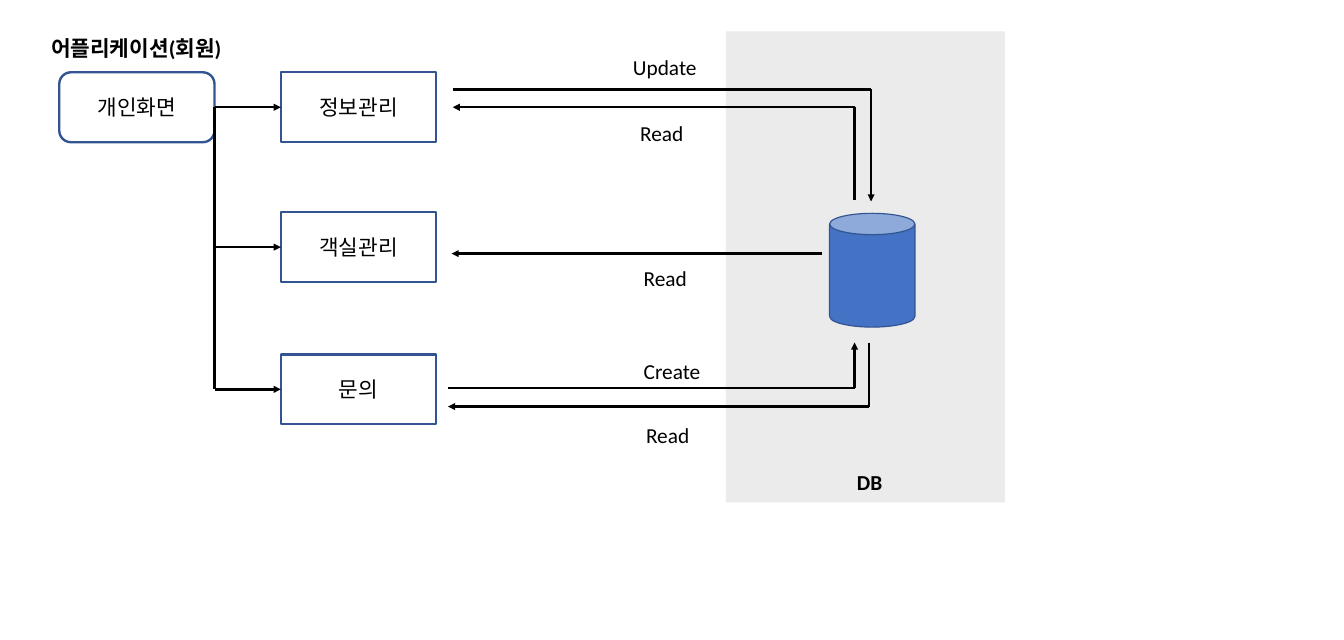
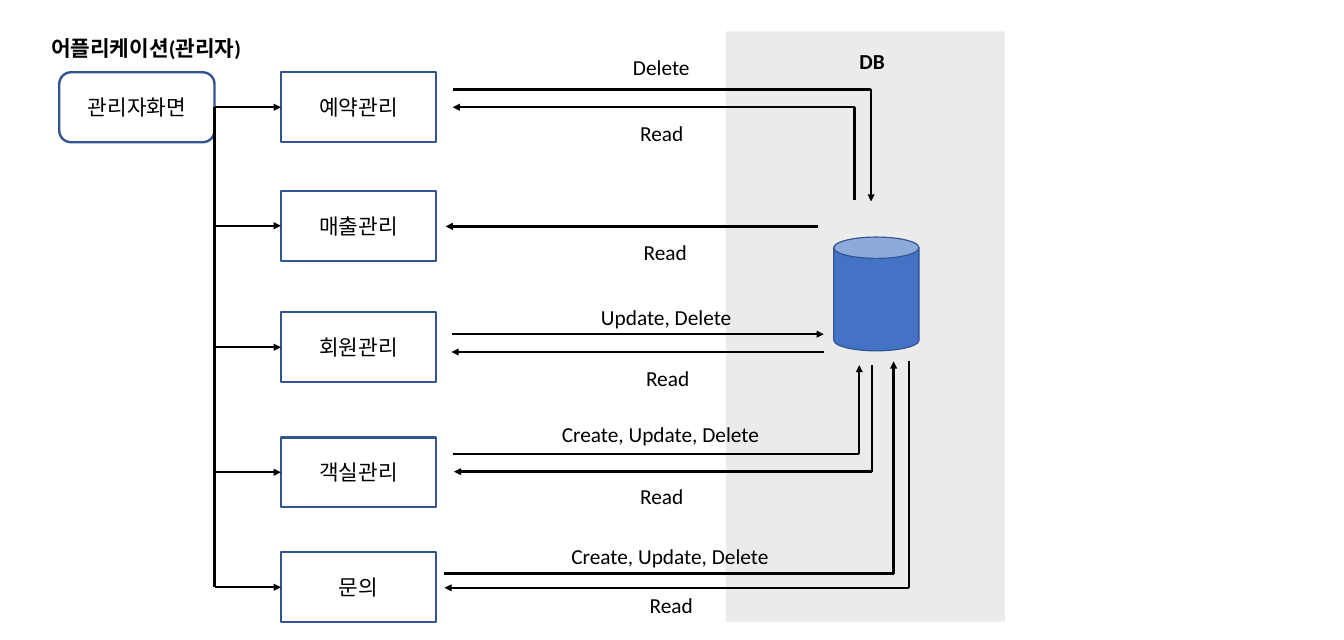
from itertools import pairwise

from lxml.etree import SubElement
from pptx import Presentation
from pptx.dml.color import RGBColor
from pptx.enum.shapes import MSO_CONNECTOR, MSO_SHAPE as SHAPE
from pptx.enum.text import MSO_ANCHOR as ANCHOR, MSO_AUTO_SIZE as FIT, PP_ALIGN as ALIGN
from pptx.oxml.ns import qn
from pptx.util import Pt

BLACK = RGBColor(0x00, 0x00, 0x00)
NAVY = RGBColor(0x32, 0x54, 0x91)
BLUE = RGBColor(0x44, 0x72, 0xC4)
GRAY = RGBColor(0xE7, 0xE6, 0xE6)
FONT = "Calibri"

SCREEN_X, MENU_X, TOP_Y = 50, 237, 61
BOX_W, BOX_H = 131, 59
LABEL_H = 29
LABEL_W = {
    "Read": 51,
    "Update": 69,
    "Create": 63,
    "Delete": 63,
    "Update, Delete": 126,
    "Create, Update, Delete": 183,
    "DB": 36,
}

TOP_WRITE = ((382, 75.5), (735, 75.5), (735, 170))
TOP_READ = ("Read", 533, 98, ((721, 169), (721, 90.5), (382, 90.5)))

MEMBER = {
    "title": ("어플리케이션(회원)", 171),
    "screen": "개인화면",
    "band_h": 397.5,
    "database": (700, 180),
    "db_label": (716, 392),
    "menus": (("정보관리", TOP_Y), ("객실관리", 179), ("문의", 299)),
    "flows": (
        ("Update", 527, 42, TOP_WRITE),
        TOP_READ,
        ("Read", 536, 220, ((694, 214), (381, 214))),
        ("Create", 536, 299, ((378, 327.5), (721, 327.5), (721, 289))),
        ("Read", 538, 353, ((733, 289), (733, 343), (378, 343))),
    ),
}

MANAGER = {
    "title": ("어플리케이션(관리자)", 189),
    "screen": "관리자화면",
    "band_h": 498,
    "database": (703.5, 200),
    "db_label": (718, 37),
    "menus": (
        ("예약관리", TOP_Y),
        ("매출관리", 161),
        ("회원관리", 263.5),
        ("객실관리", 369),
        ("문의", 466),
    ),
    "flows": (
        ("Delete", 527, 42, TOP_WRITE),
        TOP_READ,
        ("Read", 536, 198, ((690, 191), (376, 191))),
        ("Update, Delete", 500, 253.5, ((381, 282), (695, 282))),
        ("Read", 538, 304.5, ((695, 297), (381, 297))),
        ("Create, Update, Delete", 467, 352, ((382, 383), (725, 383), (725, 308))),
        ("Read", 533, 404, ((736, 308), (736, 398), (383, 398))),
        ("Create, Update, Delete", 475, 455, ((375, 484), (754, 484), (754, 305))),
        ("Read", 541, 496, ((767, 305), (767, 496), (375, 496))),
    ),
}


def write(tf, text, size=18, bold=False, color=BLACK, align=ALIGN.LEFT):
    p = tf.paragraphs[0]
    p.alignment = align
    r = p.add_run()
    r.text = text
    r.font.name = FONT
    r.font.size = Pt(size)
    r.font.bold = bold
    r.font.color.rgb = color


def add_label(s, text, x, y, width, bold=False):
    tf = s.shapes.add_textbox(Pt(x), Pt(y), Pt(width), Pt(LABEL_H)).text_frame
    tf.word_wrap = False
    tf.auto_size = FIT.SHAPE_TO_FIT_TEXT
    write(tf, text, bold=bold)


def add_shape(s, kind, x, y, w, h, fill=None, line=None, weight=2):
    sp = s.shapes.add_shape(kind, Pt(x), Pt(y), Pt(w), Pt(h))
    sp.shadow.inherit = False
    if fill is None:
        sp.fill.background()
    else:
        sp.fill.solid()
        sp.fill.fore_color.rgb = fill
    if line is None:
        sp.line.fill.background()
    else:
        sp.line.color.rgb = line
        sp.line.width = Pt(weight)
    return sp


def add_box(s, kind, text, x, y):
    sp = add_shape(s, kind, x, y, BOX_W, BOX_H, line=NAVY)
    sp.text_frame.vertical_anchor = ANCHOR.MIDDLE
    write(sp.text_frame, text, align=ALIGN.CENTER)
    return sp


def add_band(s, height):
    band = add_shape(s, SHAPE.RECTANGLE, 612.5, 26.5, 235.5, height, fill=GRAY)
    color = band.element.spPr.find(f"{qn('a:solidFill')}/{qn('a:srgbClr')}")
    SubElement(color, qn("a:alpha"), val="80000")


def add_line(s, start, end, arrow=False):
    cx = s.shapes.add_connector(MSO_CONNECTOR.STRAIGHT, *map(Pt, (*start, *end)))
    cx.line.color.rgb = BLACK
    cx.line.width = Pt(2)
    spPr = cx.element.spPr
    if arrow:
        SubElement(spPr.find(qn("a:ln")), qn("a:tailEnd"), type="triangle")
    SubElement(spPr, qn("a:effectLst"))
    return cx


def add_flow(s, text, x, y, points):
    for start, end in pairwise(points):
        add_line(s, start, end, arrow=end == points[-1])
    add_label(s, text, x, y, LABEL_W[text])


def add_menus(s, screen_text, menus):
    screen = add_box(s, SHAPE.FLOWCHART_ALTERNATE_PROCESS, screen_text, SCREEN_X, TOP_Y)
    trunk_x = SCREEN_X + BOX_W
    for text, y in menus:
        box = add_box(s, SHAPE.RECTANGLE, text, MENU_X, y)
        middle = y + BOX_H / 2
        branch = add_line(s, (trunk_x, middle), (MENU_X, middle), arrow=True)
        branch.end_connect(box, 1)
        if y == TOP_Y:
            branch.begin_connect(screen, 3)
    trunk = add_line(s, (trunk_x, TOP_Y + BOX_H / 2), (trunk_x, middle))
    trunk.begin_connect(screen, 3)


def add_diagram(prs, diagram):
    s = prs.slides.add_slide(prs.slide_layouts[6])
    title, title_w = diagram["title"]
    add_band(s, diagram["band_h"])
    add_label(s, title, 36, 26.5, title_w, bold=True)
    add_menus(s, diagram["screen"], diagram["menus"])
    add_shape(s, SHAPE.CAN, *diagram["database"], 72, 96, fill=BLUE, line=NAVY, weight=1)
    add_label(s, "DB", *diagram["db_label"], LABEL_W["DB"], bold=True)
    for flow in diagram["flows"]:
        add_flow(s, *flow)


def main():
    prs = Presentation()
    prs.slide_width, prs.slide_height = Pt(1134), Pt(540)
    for diagram in (MEMBER, MANAGER):
        add_diagram(prs, diagram)
    prs.save("out.pptx")


if __name__ == "__main__":
    main()
